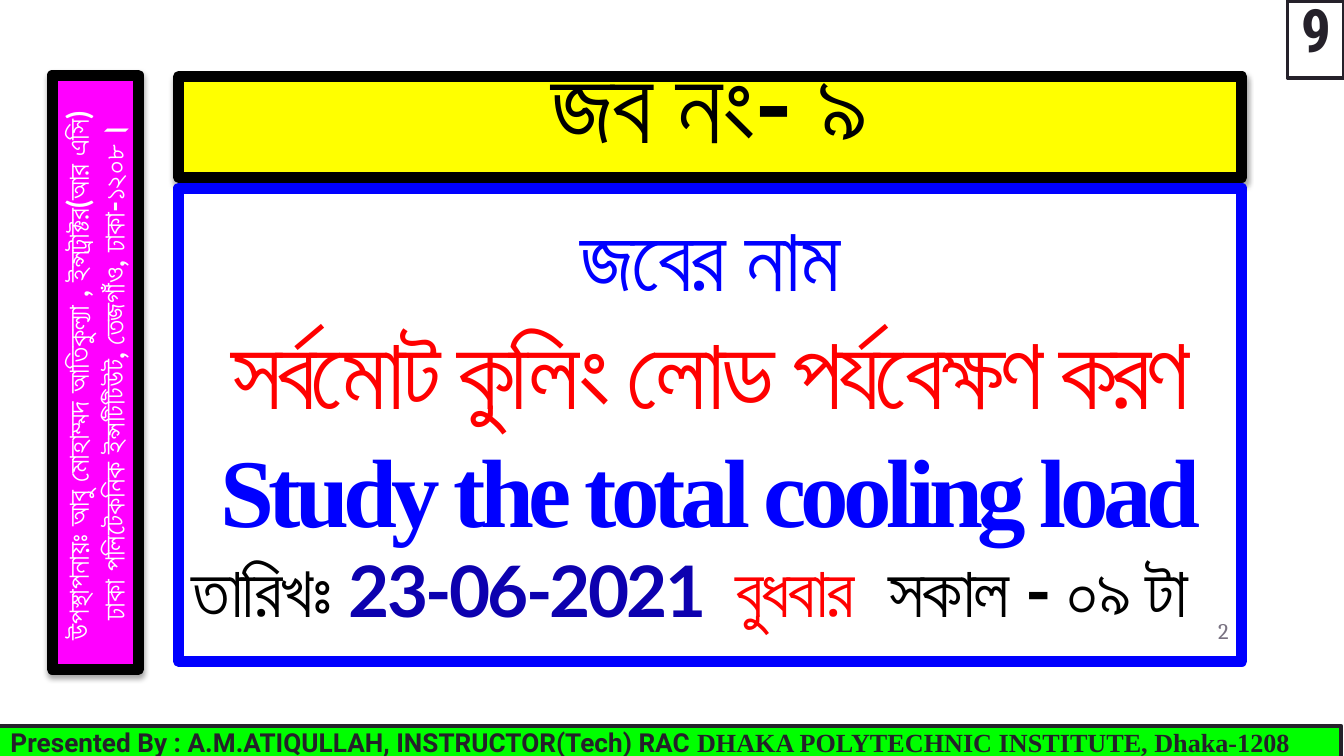
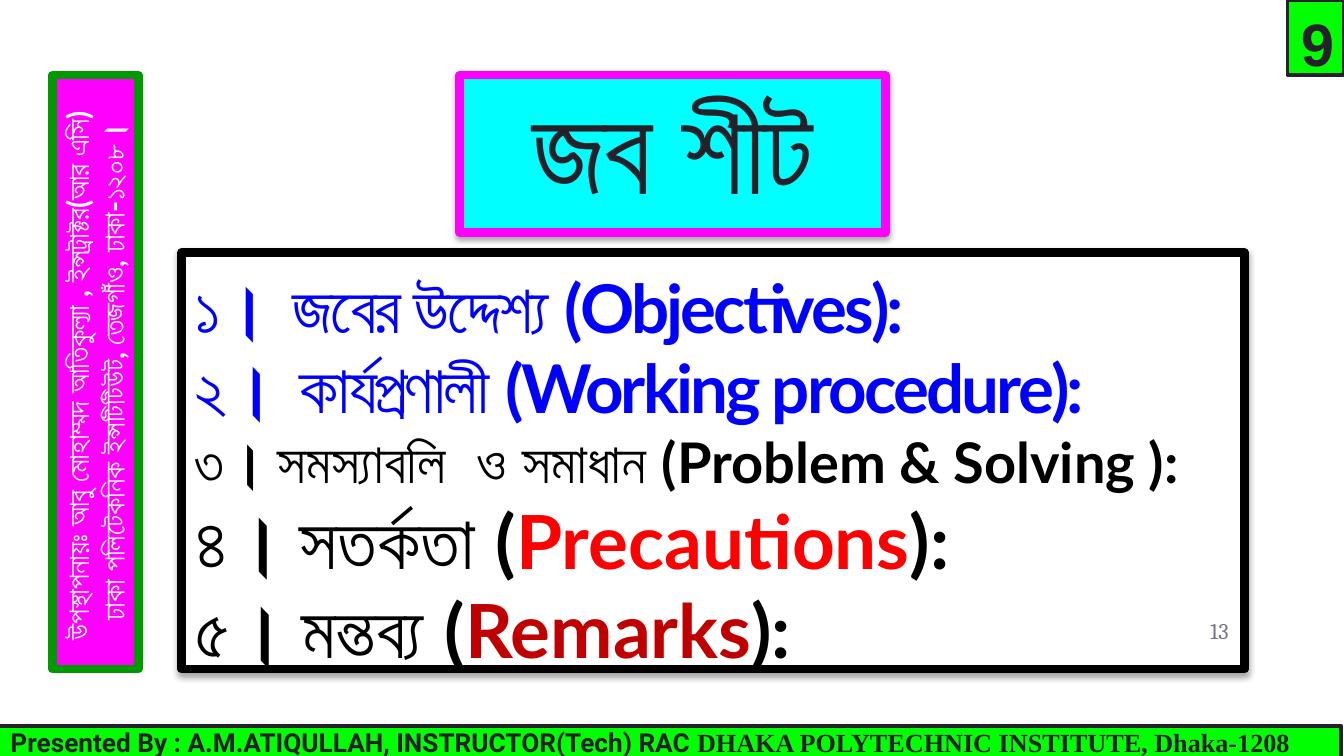
from lxml import etree
from pptx import Presentation
from pptx.dml.color import RGBColor
from pptx.enum.shapes import MSO_SHAPE
from pptx.enum.text import MSO_ANCHOR, MSO_AUTO_SIZE, PP_ALIGN
from pptx.oxml.ns import qn
from pptx.util import Inches, Pt

RECTANGLE = MSO_SHAPE.RECTANGLE
TOP, MIDDLE, BOTTOM = MSO_ANCHOR.TOP, MSO_ANCHOR.MIDDLE, MSO_ANCHOR.BOTTOM
LEFT, CENTER, RIGHT = PP_ALIGN.LEFT, PP_ALIGN.CENTER, PP_ALIGN.RIGHT
NO_AUTOFIT = MSO_AUTO_SIZE.NONE

# Shared palette
BLACK, WHITE, INK, GRAY = "000000", "FFFFFF", "25212A", "797281"
BLUE, NAVY, RED, DARK_RED = "0000FF", "0D01AF", "FF0000", "C00000"
YELLOW, LIME, GREEN, CYAN, MAGENTA = "FFFF00", "00FF00", "009900", "00FFFF", "FF00FF"


def style_box(shape, fill=None, line=None, width=2, shadow=False, anchor=TOP, inset=0.1):
    """Set the frame, shadow and text margins of a box."""
    if fill:
        shape.fill.solid()
        shape.fill.fore_color.rgb = RGBColor.from_string(fill)
    else:
        shape.fill.background()
    if line:
        shape.line.color.rgb = RGBColor.from_string(line)
        shape.line.width = Pt(width)
    shape.shadow.inherit = False
    if shadow:
        effects = shape._element.spPr.find(qn("a:effectLst"))
        outer = etree.SubElement(effects, qn("a:outerShdw"), blurRad=str(Pt(3.1)),
                                 dist=str(Pt(1.8)), dir="5400000", rotWithShape="0")
        color = etree.SubElement(outer, qn("a:srgbClr"), val=BLACK)
        etree.SubElement(color, qn("a:alpha"), val="35000")
    frame = shape.text_frame
    frame.word_wrap = True
    frame.auto_size = NO_AUTOFIT
    frame.vertical_anchor = anchor
    frame.margin_left = frame.margin_right = Inches(0.1)
    frame.margin_top = frame.margin_bottom = Inches(inset)


def write_text(shape, text, size, color, font="Lato", bold=True, spacing=0,
               align=LEFT, same_line=False):
    """Append a run, in a new paragraph unless same_line is set."""
    frame = shape.text_frame
    if same_line or not frame.text:
        paragraph = frame.paragraphs[-1]
    else:
        paragraph = frame.add_paragraph()
    if not same_line:
        paragraph.alignment = align
    run = paragraph.add_run()
    run.text = text
    run.font.size = Pt(size)
    run.font.name = font
    run.font.bold = bold
    run.font.color.rgb = RGBColor.from_string(color)
    run._r.get_or_add_rPr().set("spc", str(int(spacing * 100)))


# Widescreen 16:9
presentation = Presentation()
presentation.slide_width = Inches(10)
presentation.slide_height = Inches(10) * 9 // 16
title_only = presentation.slide_layouts[5]

job_title = dict(
    place=(1.33, 0.57, 7.91, 0.75), text="জব নং- ৯", size=56, color=BLACK, line_spacing=Pt(25),
    box=dict(fill=YELLOW, line=BLACK, width=6, shadow=True))
sheet_title = dict(
    place=(3.42, 0.56, 3.17, 1.17), text="জব শীট", size=66, color=INK, line_spacing=1.0,
    box=dict(fill=CYAN, line=MAGENTA, width=4.5, shadow=True))

job_body = dict(
    place=(1.33, 1.4, 7.91, 3.52), box=dict(line=BLUE, width=6),
    paragraphs=[
        (dict(size=48, spacing=-1.5, align=CENTER), [("জবের নাম", BLUE)]),
        (dict(size=54, spacing=-3, align=CENTER), [("সর্বমোট কুলিং লোড পর্যবেক্ষণ করণ", RED)]),
        (dict(size=52, spacing=-3, align=CENTER, font="Times New Roman"),
         [("Study the total cooling load", BLUE)]),
        (dict(size=38, spacing=-1.5),
         [("তারিখঃ ", BLACK), ("23-06-2021  ", NAVY), ("বুধবার  ", RED), ("সকাল - ০৯ টা", BLACK)]),
    ])
sheet_body = dict(
    place=(1.35, 1.88, 7.91, 3.1), box=dict(fill=WHITE, line=BLACK, width=4.5, shadow=True),
    paragraphs=[
        (dict(size=36, spacing=-1.5), [("১।  জবের উদ্দেশ্য (Objectives):", BLUE)]),
        (dict(size=36, spacing=-1.5), [("২।  কার্যপ্রণালী (Working procedure):", BLUE)]),
        (dict(size=30), [("৩। সমস্যাবলি  ও সমাধান (Problem & Solving ):", BLACK)]),
        (dict(size=40), [("৪। সতর্কতা (", BLACK), ("Precautions", RED), ("):", BLACK)]),
        (dict(size=40), [("৫। মন্তব্য (", BLACK), ("Remarks", DARK_RED), ("):", BLACK)]),
    ])

job_banner = dict(line=BLACK, width=6, shadow=True)
sheet_banner = dict(line=GREEN, width=4.5)
job_badge = dict(place=(9.58, 0.01, 0.42, 0.57), font="Roboto Condensed",
                 box=dict(fill=WHITE, anchor=BOTTOM))
sheet_badge = dict(place=(9.58, 0, 0.42, 0.56), font="Arial",
                   box=dict(fill=LIME, inset=0.05))

for title_data, body_data, number, banner_box, badge_data in [
    (job_title, job_body, "2", job_banner, job_badge),
    (sheet_title, sheet_body, "13", sheet_banner, sheet_badge),
]:
    slide = presentation.slides.add_slide(title_only)
    shapes = slide.shapes

    # Title
    title = shapes.title
    title.left, title.top, title.width, title.height = map(Inches, title_data["place"])
    style_box(title, anchor=BOTTOM, **title_data["box"])
    write_text(title, title_data["text"], title_data["size"], title_data["color"],
               spacing=-1.5, align=CENTER)
    title.text_frame.paragraphs[0].line_spacing = title_data["line_spacing"]

    # Body
    body = shapes.add_shape(RECTANGLE, *map(Inches, body_data["place"]))
    style_box(body, **body_data["box"])
    for text_format, runs in body_data["paragraphs"]:
        for position, (text, color) in enumerate(runs):
            write_text(body, text, color=color, same_line=position > 0, **text_format)

    # Page number
    page_number = shapes.add_textbox(Inches(8.64), Inches(4.48), Inches(0.6), Inches(0.43))
    style_box(page_number, anchor=MIDDLE)
    write_text(page_number, number, 12, GRAY, font="Cambria", bold=False, align=RIGHT)

    # Footer band
    footer = shapes.add_shape(RECTANGLE, Inches(-0.02), Inches(5.4), Inches(10), Inches(0.25))
    style_box(footer, fill=LIME, line=INK, anchor=MIDDLE, inset=0.05)
    write_text(footer, "Presented By : A.M.ATIQULLAH, INSTRUCTOR(Tech) RAC ", 14, INK, font="Roboto")
    write_text(footer, "DHAKA POLYTECHNIC INSTITUTE, Dhaka-1208", 14, INK,
               font="Times New Roman", same_line=True)

    # Presenter banner, turned to read upwards
    banner = shapes.add_shape(RECTANGLE, Inches(-1.5), Inches(2.45), Inches(4.42), Inches(0.64))
    banner.rotation = 270
    style_box(banner, fill=MAGENTA, inset=0.05, **banner_box)
    for text in ("উপস্থাপনায়ঃ আবু মোহাম্মদ আতিকুল্যা , ইন্সট্রাক্টর(আর এসি) ",
                 "ঢাকা পলিটেকনিক ইন্সটিটিউট, তেজগাঁও, ঢাকা-১২০৮।"):
        write_text(banner, text, 16, WHITE, align=CENTER)

    # Job number badge
    badge = shapes.add_shape(RECTANGLE, *map(Inches, badge_data["place"]))
    style_box(badge, line=INK, **badge_data["box"])
    write_text(badge, "9", 32, INK, font=badge_data["font"], spacing=-3)

presentation.save("out.pptx")
